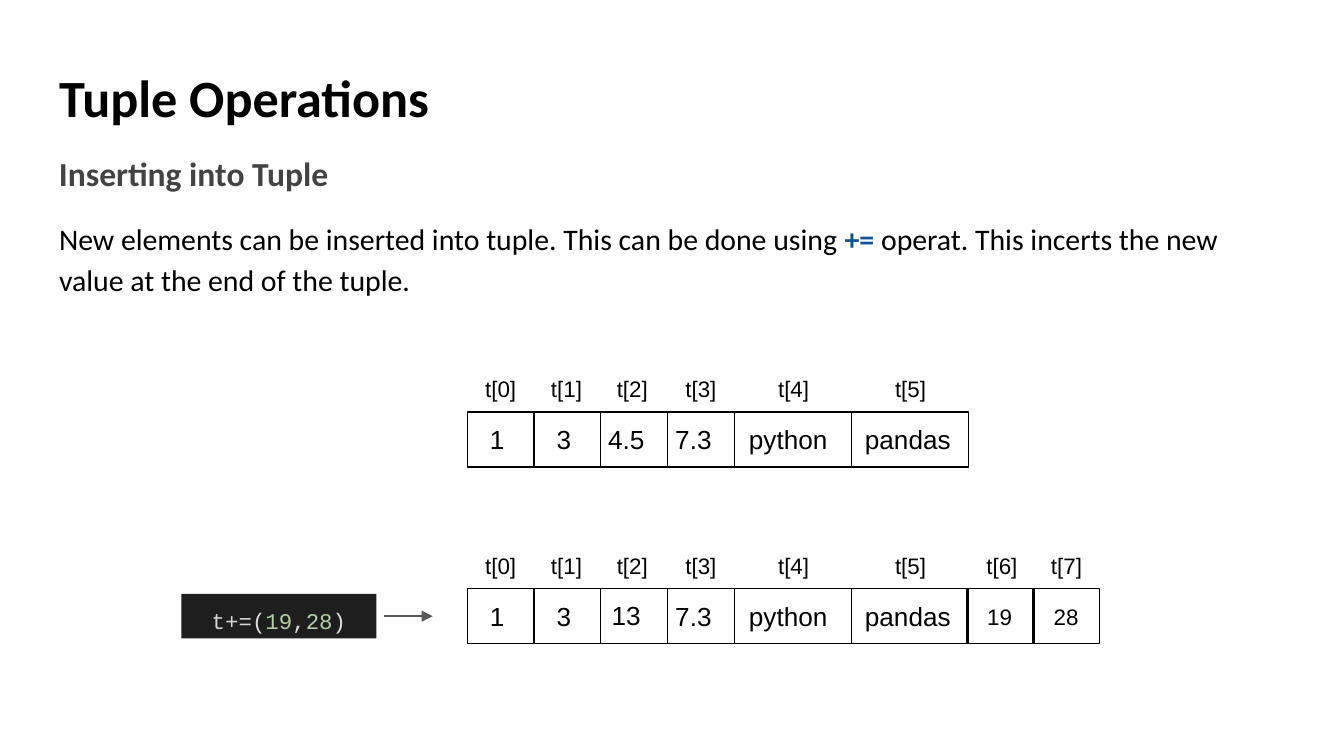
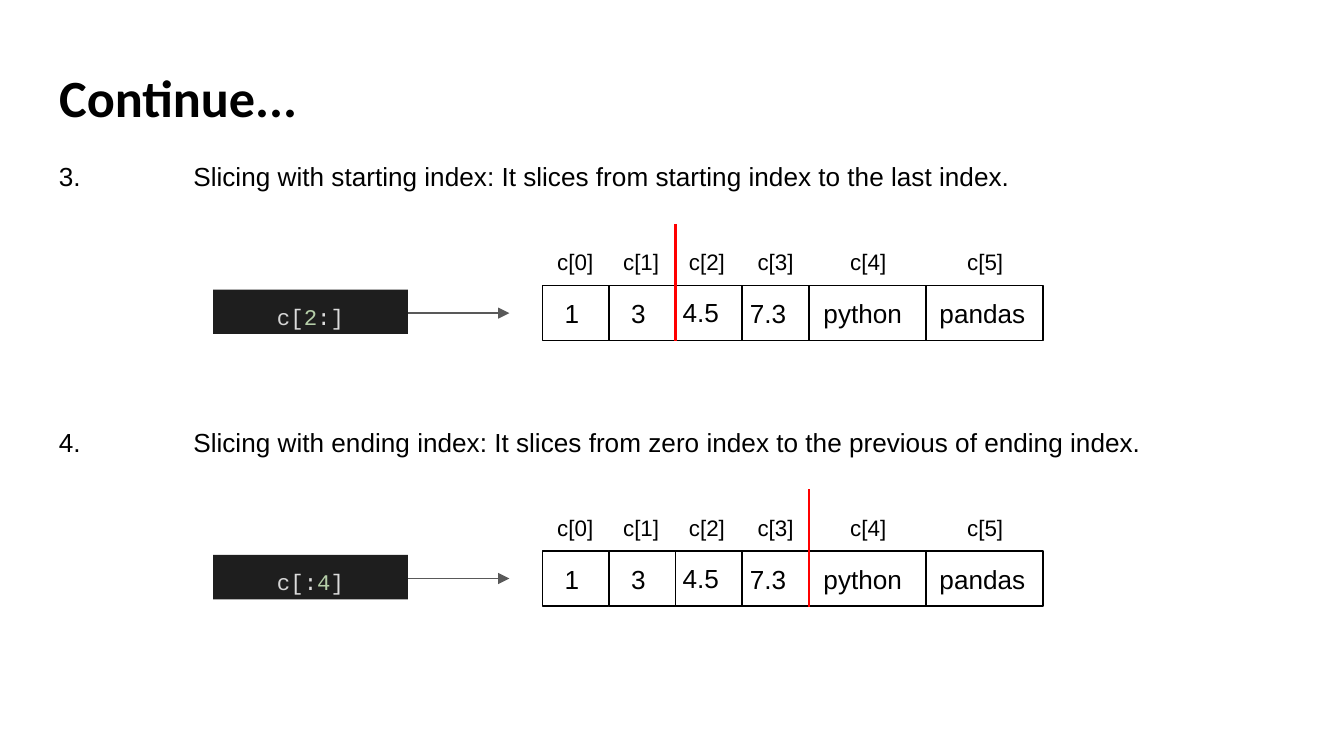
from dataclasses import dataclass

from lxml import etree
from pptx import Presentation
from pptx import util as u
from pptx.dml.color import RGBColor
from pptx.enum import shapes, text
from pptx.oxml import ns

PX = 4572


def px(*lengths):
    return [u.Emu(length * PX) for length in lengths]


@dataclass(frozen=True)
class Theme:
    black: str = "000000"
    subtitle: str = "434343"
    operator: str = "0B5394"
    arrow: str = "595959"
    cut: str = "FF0000"
    code_fill: str = "1E1E1E"
    code_name: str = "D4D4D4"
    code_sign: str = "DCDCDC"
    code_number: str = "B5CEA8"
    heading_font: str = "Calibri"
    diagram_font: str = "Arial"
    code_font: str = "Courier New"
    title_size: int = 28
    subtitle_size: int = 18
    body_size: int = 16
    value_size: int = 14
    label_size: int = 12


@dataclass(frozen=True)
class Slot:
    left: int
    width: int
    value_left: int
    value_width: int
    label_left: int


THEME = Theme()
SLOTS = [
    Slot(0, 99, 0, 88, 0),
    Slot(99, 99, 99, 88, 98),
    Slot(198, 99, 186, 100, 196),
    Slot(297, 100, 286, 100, 298),
    Slot(397, 174, 390, 174, 436),
    Slot(571, 174, 568, 174, 610),
    Slot(742, 99, 742, 99, 746),
    Slot(841, 99, 841, 99, 842),
]
MARGIN, CONTENT_WIDTH, INSET = 68, 1864, 20
CELL_HEIGHT, TEXT_HEIGHT, LABEL_WIDTH = 82, 80, 98


def add_element(parent, tag, **attributes):
    return etree.SubElement(parent, ns.qn(tag), **attributes)


def write(box, content, *, size, font, color=THEME.black, bold=False,
          align=text.PP_ALIGN.LEFT, anchor=text.MSO_ANCHOR.TOP,
          spacing=1.0, after=0, tab=None, plain=False):
    frame = box.text_frame
    frame.word_wrap = True
    frame.auto_size = text.MSO_AUTO_SIZE.NONE
    frame.vertical_anchor = anchor
    frame.margin_left, frame.margin_right, frame.margin_top, frame.margin_bottom = px(*[INSET] * 4)
    para = frame.paragraphs[0]
    properties = para._p.get_or_add_pPr()
    if plain:
        properties.set("marL", "0")
        properties.set("indent", "0")
        add_element(properties, "a:buNone")
    if tab:
        stops = add_element(properties, "a:tabLst")
        add_element(stops, "a:tab", pos=str(tab * PX), algn="l")
    para.alignment = align
    para.line_spacing = spacing
    para.space_before = u.Pt(0)
    para.space_after = u.Pt(after)
    spans = [(content, color, bold)] if isinstance(content, str) else content
    for words, span_color, span_bold in spans:
        span = para.add_run()
        span.text = words
        span.font.size = u.Pt(size)
        span.font.name = font
        span.font.bold = span_bold
        span.font.color.rgb = RGBColor.from_string(span_color)


class Sketch:
    def __init__(self, deck, theme):
        self.deck = deck
        self.theme = theme
        self.page = None

    def start(self, layout, title):
        self.page = self.deck.slides.add_slide(self.deck.slide_layouts[layout])
        box = self.place(self.page.shapes.title, MARGIN, 74, CONTENT_WIDTH, 126)
        write(box, title, size=self.theme.title_size, font=self.theme.heading_font,
              bold=True, anchor=text.MSO_ANCHOR.MIDDLE, spacing=1.15, after=14)

    def place(self, box, left, top, width, height):
        box.left, box.top, box.width, box.height = px(left, top, width, height)
        return box

    def body(self, spans, top, height):
        box = self.place(self.page.placeholders[1], MARGIN, top, CONTENT_WIDTH, height)
        write(box, spans, size=self.theme.body_size, font=self.theme.heading_font,
              spacing=1.15, after=16, plain=True)

    def label(self, words, left, top, width, height, **style):
        box = self.page.shapes.add_textbox(*px(left, top, width, height))
        write(box, words, **style)

    def centered(self, size):
        return dict(size=size, font=self.theme.diagram_font,
                    align=text.PP_ALIGN.CENTER, anchor=text.MSO_ANCHOR.MIDDLE)

    def rectangle(self, left, top, width, height):
        box = self.page.shapes.add_shape(
            shapes.MSO_SHAPE.RECTANGLE, *px(left, top, width, height))
        box.shadow.inherit = False
        return box

    def cell(self, left, top, width):
        box = self.rectangle(left, top, width, CELL_HEIGHT)
        box.fill.background()
        box.line.color.rgb = RGBColor.from_string(self.theme.black)
        box.line.width = u.Pt(0.75)
        return box

    def code(self, left, top, spans):
        box = self.rectangle(left, top, 290, 66)
        box.fill.solid()
        box.fill.fore_color.rgb = RGBColor.from_string(self.theme.code_fill)
        box.line.fill.background()
        write(box, [(words, color, False) for words, color in spans],
              size=self.theme.label_size, font=self.theme.code_font,
              align=text.PP_ALIGN.CENTER, anchor=text.MSO_ANCHOR.MIDDLE, spacing=1.36)

    def line(self, x1, y1, x2, y2, color, weight, arrow=False):
        line = self.page.shapes.add_connector(
            shapes.MSO_CONNECTOR.STRAIGHT, *px(x1, y1, x2, y2))
        line.line.color.rgb = RGBColor.from_string(color)
        line.line.width = u.Pt(weight)
        if arrow:
            add_element(line.line._get_or_add_ln(), "a:tailEnd", type="triangle")
        add_element(line._element.spPr, "a:effectLst")

    def arrow(self, left, right, top):
        self.line(left, top, right, top, self.theme.arrow, 0.75, arrow=True)

    def sequence(self, name, left, top, values, added=()):
        for index, (slot, value) in enumerate(zip(SLOTS, [*values, *added])):
            cell = self.cell(left + slot.left, top, slot.width)
            if index < len(values):
                self.label(value, left + slot.value_left, top + (index != 2),
                           slot.value_width, TEXT_HEIGHT,
                           **self.centered(self.theme.value_size))
            else:
                write(cell, value, **self.centered(self.theme.label_size))
            self.label(f"{name}[{index}]", left + slot.label_left, top - 75,
                       LABEL_WIDTH, TEXT_HEIGHT, **self.centered(self.theme.label_size))


def insertion_slide(sketch):
    theme = sketch.theme
    sketch.start(1, "Tuple Operations")
    sketch.body([
        ("New elements can be inserted into tuple. This can be done using ", theme.black, False),
        ("+=", theme.operator, True),
        (" operat. This incerts the new value at the end of the tuple.", theme.black, False),
    ], 300, 162)
    sketch.label("Inserting into Tuple", MARGIN, 198, CONTENT_WIDTH, 102,
                 size=theme.subtitle_size, font=theme.heading_font,
                 color=theme.subtitle, bold=True, spacing=1.15, after=16)
    left, before, after = 696, 613, 876
    sketch.sequence("t", left, before, ["1", "3", "4.5", "7.3", "python", "pandas"])
    sketch.cell(1440, after, 99)
    sketch.sequence("t", left, after, ["1", "3", "13", "7.3", "python", "pandas"],
                    added=["19", "28"])
    sketch.arrow(572, 644, after + 41)
    sketch.code(270, after + 8, [
        ("t+=", theme.code_name), ("(", theme.code_sign), ("19", theme.code_number),
        (",", theme.code_sign), ("28", theme.code_number), (")", theme.code_sign),
    ])


def slicing_slide(sketch):
    theme = sketch.theme
    sketch.start(5, "Continue...")
    left = 807
    examples = [
        ("3.\tSlicing with starting index: It slices from starting index to the last index.",
         2, ("[", "2", ":]")),
        ("4.\tSlicing with ending index: It slices from zero index to the previous of ending index.",
         4, ("[:", "4", "]")),
    ]
    for step, (note, cut, (opening, number, closing)) in enumerate(examples):
        top = 425 + step * 395
        sketch.label(note, MARGIN, top - 206, CONTENT_WIDTH, 86,
                     size=theme.value_size, font=theme.diagram_font, tab=200)
        sketch.sequence("c", left, top, ["1", "3", "4.5", "7.3", "python", "pandas"])
        cut_left = left + SLOTS[cut].left
        sketch.line(cut_left, top - 92, cut_left, top + 83, theme.cut, 1.5)
        sketch.arrow(607, 758, top + 41)
        sketch.code(317, top + 6, [
            ("c", theme.code_name), (opening, theme.code_sign),
            (number, theme.code_number), (closing, theme.code_sign),
        ])


def main():
    deck = Presentation()
    deck.slide_width, deck.slide_height = px(2000, 1125)
    sketch = Sketch(deck, THEME)
    insertion_slide(sketch)
    slicing_slide(sketch)
    deck.save("out.pptx")


if __name__ == "__main__":
    main()
